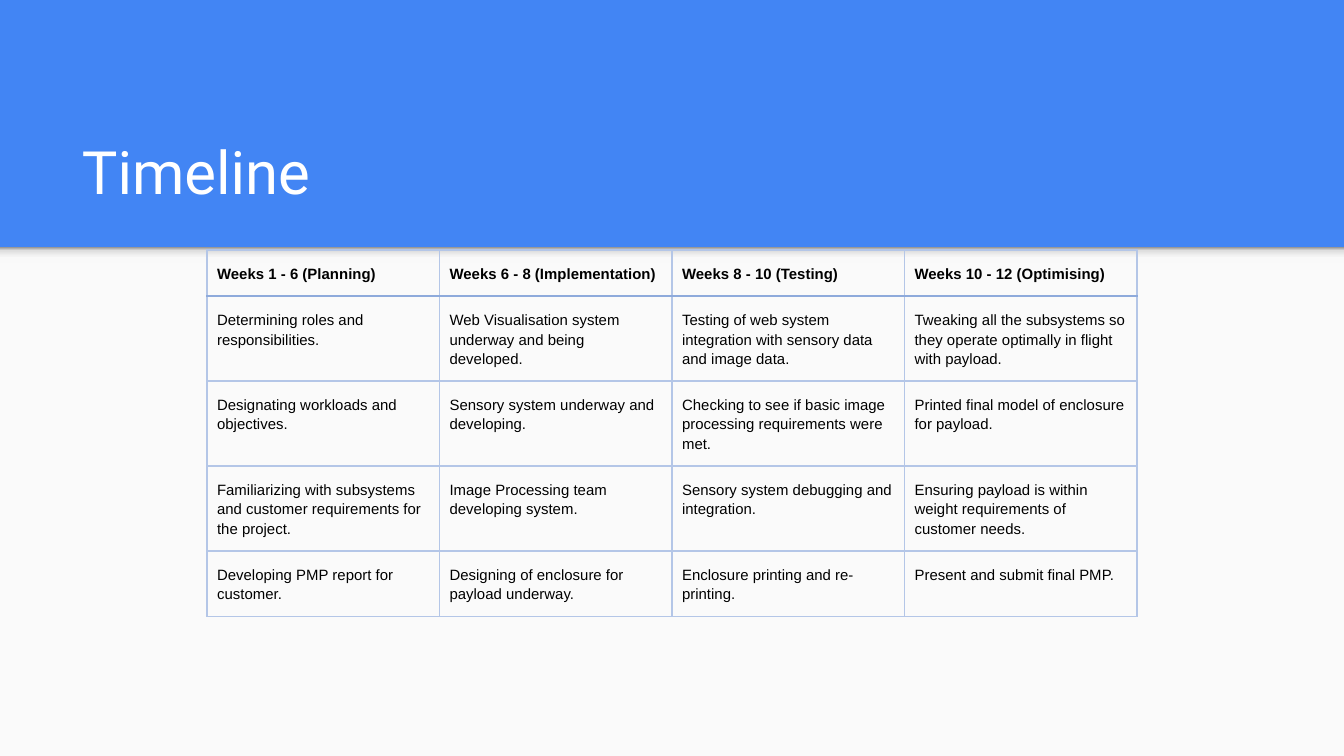
from copy import deepcopy

from lxml import etree
from pptx import Presentation
from pptx.dml.color import RGBColor
from pptx.enum.shapes import MSO_SHAPE
from pptx.enum.text import MSO_ANCHOR, MSO_AUTO_SIZE, PP_ALIGN
from pptx.oxml.ns import qn
from pptx.util import Inches, Pt

RECT = MSO_SHAPE.RECTANGLE
BOTTOM = MSO_ANCHOR.BOTTOM
LEFT = PP_ALIGN.LEFT
FIXED = MSO_AUTO_SIZE.NONE

WIDTH = 10
HEIGHT = WIDTH * 9 / 16
BLUE, PAPER, WHITE, BLACK = "4285F4", "FAFAFA", "FFFFFF", "000000"
RULE, HEAVY = "B4C6E7", "8EAADB"
SHADE = [(0, "F9F9F9"), (0.36, "F9F9F9"), (0.8, "DEDEDE"), (1, "999999")]
HEIGHTS = [0.34, 0.63, 0.63, 0.63, 0.49]

PLAN = {
    "Weeks 1 - 6 (Planning)": [
        "Determining roles and responsibilities.",
        "Designating workloads and objectives.",
        "Familiarizing with subsystems and customer requirements for the project.",
        "Developing PMP report for customer.",
    ],
    "Weeks 6 - 8 (Implementation)": [
        "Web Visualisation system underway and being developed.",
        "Sensory system underway and developing.",
        "Image Processing team developing system.",
        "Designing of enclosure for payload underway.",
    ],
    "Weeks 8 - 10 (Testing)": [
        "Testing of web system integration with sensory data and image data.",
        "Checking to see if basic image processing requirements were met.",
        "Sensory system debugging and integration.",
        "Enclosure printing and re-printing.",
    ],
    "Weeks 10 - 12 (Optimising)": [
        "Tweaking all the subsystems so they operate optimally in flight with payload.",
        "Printed final model of enclosure for payload.",
        "Ensuring payload is within weight requirements of customer needs.",
        "Present and submit final PMP.",
    ],
}


def color(code):
    """Turn a hex string into a colour."""
    return RGBColor.from_string(code)


def add_run(para, text, font, size, code, bold=False):
    """Add one styled run to a paragraph."""
    run = para.add_run()
    run.text = text
    run.font.name = font
    run.font.size = Pt(size)
    run.font.bold = bold
    run.font.color.rgb = color(code)


def add_rect(slide, left, top, width, height):
    """Add a plain rectangle without line or shadow."""
    rect = slide.shapes.add_shape(
        RECT, Inches(left), Inches(top), Inches(width), Inches(height))
    rect.shadow.inherit = False
    rect.line.fill.background()
    return rect


def add_panel(slide, left, top, width, height):
    """Draw the pale panel with a soft shade along its top edge."""
    panel = add_rect(slide, left, top, width, height)
    panel.fill.solid()
    panel.fill.fore_color.rgb = color(PAPER)
    fill = add_rect(slide, left, top, width, 0.12).fill
    fill.gradient()
    fill.gradient_angle = 90
    first = fill.gradient_stops[0]
    first.color.rgb = color(SHADE[0][1])
    stops = fill._fill._gradFill.find(qn("a:gsLst"))
    base = deepcopy(stops[0])
    for stop in list(stops):
        stops.remove(stop)
    for _ in SHADE:
        stops.append(deepcopy(base))
    for stop, (pos, code) in zip(fill.gradient_stops, SHADE):
        stop.position = pos
        stop.color.rgb = color(code)


def add_title(slide, left, top, width, height):
    """Place and fill the title."""
    title = slide.shapes.title
    title.left, title.top = Inches(left), Inches(top)
    title.width, title.height = Inches(width), Inches(height)
    frame = title.text_frame
    frame.auto_size = FIXED
    frame.word_wrap = True
    frame.vertical_anchor = BOTTOM
    frame.margin_left = frame.margin_right = Inches(0.1)
    frame.margin_top = frame.margin_bottom = Inches(0.1)
    para = frame.paragraphs[0]
    para.alignment = LEFT
    add_run(para, "Timeline", "Roboto", 32, WHITE)


def add_edge(cell, side, code, width):
    """Draw one border of a cell."""
    line = etree.SubElement(
        cell._tc.get_or_add_tcPr(), qn("a:ln" + side), w=str(Pt(width)))
    fill = etree.SubElement(line, qn("a:solidFill"))
    etree.SubElement(fill, qn("a:srgbClr"), val=code)


def fill_cell(cell, text, row):
    """Write, space and frame one cell."""
    cell.margin_left = cell.margin_right = Pt(5.4)
    cell.margin_top = cell.margin_bottom = Inches(0.1)
    for side in "LRTB":
        heavy = (side, row) in (("B", 0), ("T", 1))
        add_edge(cell, side, *((HEAVY, 1.5) if heavy else (RULE, 1)))
    cell.fill.background()
    para = cell.text_frame.paragraphs[0]
    para.line_spacing = 1.15
    add_run(para, text, "Arial", 8, BLACK, row == 0)


def add_plan(slide, left, top, width):
    """Add the table with one column for each phase."""
    table = slide.shapes.add_table(
        len(HEIGHTS), len(PLAN), Inches(left), Inches(top),
        Inches(width), Inches(sum(HEIGHTS))).table
    table.first_row = table.horz_banding = False
    for row, height in zip(table.rows, HEIGHTS):
        row.height = Inches(height)
    for col, (phase, tasks) in enumerate(PLAN.items()):
        table.columns[col].width = Inches(width / len(PLAN))
        for row, text in enumerate([phase, *tasks]):
            fill_cell(table.cell(row, col), text, row)


def main():
    """Build and save the slide."""
    deck = Presentation()
    deck.slide_width, deck.slide_height = Inches(WIDTH), Inches(HEIGHT)
    slide = deck.slides.add_slide(deck.slide_layouts[5])
    back = slide.background.fill
    back.solid()
    back.fore_color.rgb = color(BLUE)
    add_panel(slide, 0, 1.84, WIDTH, HEIGHT - 1.84)
    add_title(slide, 0.51, 0.8, 8.99, 0.84)
    add_plan(slide, 1.54, 1.86, 6.92)
    deck.save("out.pptx")


if __name__ == "__main__":
    main()
